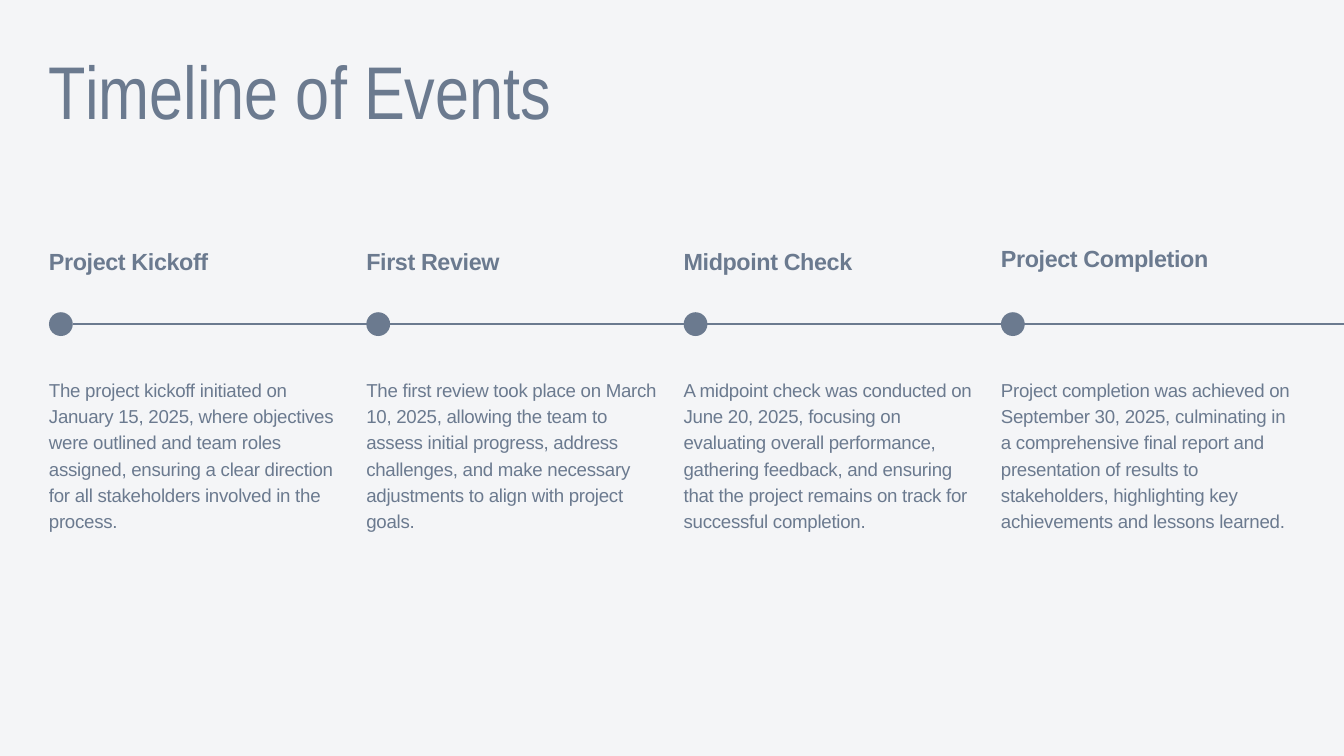
from lxml.etree import SubElement
from pptx import Presentation
from pptx.dml.color import RGBColor
from pptx.enum.shapes import MSO_CONNECTOR, MSO_SHAPE
from pptx.enum.text import MSO_ANCHOR, MSO_AUTO_SIZE, PP_ALIGN
from pptx.oxml.ns import qn
from pptx.util import Pt

SLATE = "6B7A8F"
PALE = "F4F5F7"

LEFT = 52.5
COLUMN_STEP = 340
COLUMN_WIDTH = 315.5
LINE_Y = 347.3
DOT_SIZE = 25.5

TITLE_FONT = {"name": "Arial Narrow", "size": Pt(80), "bold": False}
HEADING_FONT = {"name": "Arial", "size": Pt(25), "bold": True}
BODY_FONT = {"name": "Arial", "size": Pt(20), "bold": False}
FRAME_FORMAT = {
    "margin_left": 0,
    "margin_top": 0,
    "margin_right": 0,
    "margin_bottom": 0,
    "word_wrap": True,
    "auto_size": MSO_AUTO_SIZE.SHAPE_TO_FIT_TEXT,
    "vertical_anchor": MSO_ANCHOR.TOP,
}

# Heading, heading top, description
EVENTS = [
    ("Project Kickoff", 265,
     "The project kickoff initiated on January 15, 2025, where objectives were "
     "outlined and team roles assigned, ensuring a clear direction for all "
     "stakeholders involved in the process."),
    ("First Review", 265,
     "The first review took place on March 10, 2025, allowing the team to assess "
     "initial progress, address challenges, and make necessary adjustments to "
     "align with project goals."),
    ("Midpoint Check", 265,
     "A midpoint check was conducted on June 20, 2025, focusing on evaluating "
     "overall performance, gathering feedback, and ensuring that the project "
     "remains on track for successful completion."),
    ("Project Completion", 261.5,
     "Project completion was achieved on September 30, 2025, culminating in a "
     "comprehensive final report and presentation of results to stakeholders, "
     "highlighting key achievements and lessons learned."),
]


def colour(hex_string):
    return RGBColor.from_string(hex_string)


def set_attributes(target, values):
    for name, value in values.items():
        setattr(target, name, value)


def write_text(box, text, font, line_height, tracking=0):
    """Fill the box with one paragraph; tracking is in points."""
    set_attributes(box.text_frame, FRAME_FORMAT)
    para = box.text_frame.paragraphs[0]
    set_attributes(para, {"alignment": PP_ALIGN.LEFT,
                          "line_spacing": Pt(line_height)})
    span = para.add_run()
    span.text = text
    set_attributes(span.font, font)
    span.font.color.rgb = colour(SLATE)
    if tracking:
        span._r.get_or_add_rPr().set("spc", str(round(tracking * 100)))


def add_title(page, text):
    title = page.shapes.title
    set_attributes(title, {"left": Pt(LEFT), "top": Pt(64),
                           "width": Pt(1335), "height": Pt(84)})
    write_text(title, text, TITLE_FONT, 80)


def add_text(page, left, top, height, text, font, line_height, tracking):
    box = page.shapes.add_textbox(Pt(left), Pt(top), Pt(COLUMN_WIDTH), Pt(height))
    write_text(box, text, font, line_height, tracking)


def add_timeline(page):
    line = page.shapes.add_connector(
        MSO_CONNECTOR.STRAIGHT,
        Pt(LEFT + DOT_SIZE), Pt(LINE_Y), Pt(1464.5), Pt(LINE_Y))
    line.line.color.rgb = colour(SLATE)
    line.line.width = Pt(1.5)
    SubElement(line._element.spPr, qn("a:effectLst"))


def add_dot(page, left):
    dot = page.shapes.add_shape(
        MSO_SHAPE.OVAL, Pt(left), Pt(LINE_Y - DOT_SIZE / 2),
        Pt(DOT_SIZE), Pt(DOT_SIZE))
    dot.shadow.inherit = False
    dot.fill.solid()
    dot.fill.fore_color.rgb = colour(SLATE)
    dot.line.fill.background()


def main():
    deck = Presentation()
    deck.slide_width, deck.slide_height = Pt(1440), Pt(810)
    page = deck.slides.add_slide(deck.slide_layouts.get_by_name("Title Only"))
    page.background.fill.solid()
    page.background.fill.fore_color.rgb = colour(PALE)

    add_title(page, "Timeline of Events")
    add_timeline(page)
    for column, (heading, heading_top, description) in enumerate(EVENTS):
        left = LEFT + column * COLUMN_STEP
        add_text(page, left, heading_top, 31, heading, HEADING_FONT, 30, -0.4)
        add_dot(page, left)
        add_text(page, left, 402, 165.5, description, BODY_FONT, 28, -0.3)

    deck.save("out.pptx")


if __name__ == "__main__":
    main()
